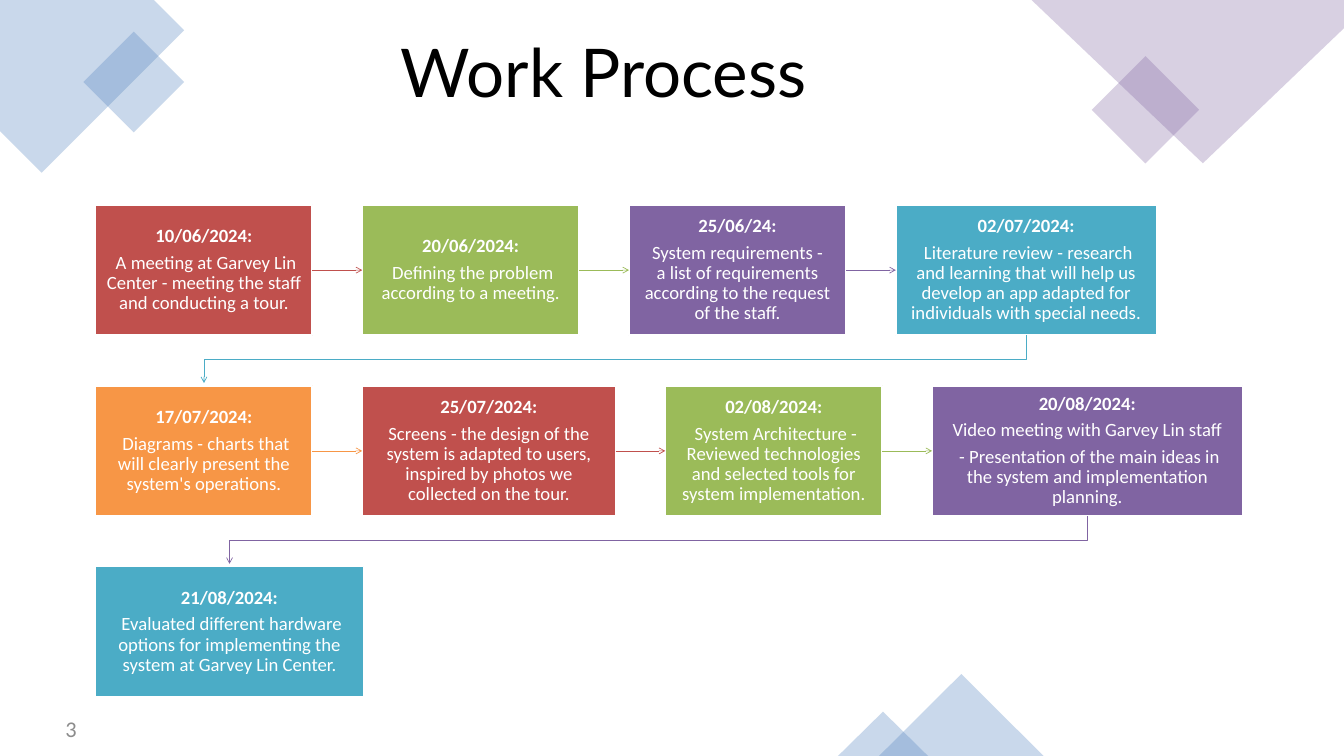
from itertools import pairwise

from lxml import etree
from pptx import Presentation
from pptx.dml.color import RGBColor
from pptx.enum.shapes import MSO_CONNECTOR, MSO_SHAPE
from pptx.enum.text import MSO_ANCHOR, PP_ALIGN
from pptx.oxml.ns import qn
from pptx.util import Inches, Pt

RECTANGLE, TRIANGLE = MSO_SHAPE.RECTANGLE, MSO_SHAPE.ISOSCELES_TRIANGLE
STRAIGHT, ELBOW = MSO_CONNECTOR.STRAIGHT, MSO_CONNECTOR.ELBOW
MIDDLE = MSO_ANCHOR.MIDDLE
CENTER, RIGHT = PP_ALIGN.CENTER, PP_ALIGN.RIGHT

BLUE = RGBColor(0x4F, 0x81, 0xBD)
RED = RGBColor(0xC0, 0x50, 0x4D)
GREEN = RGBColor(0x9B, 0xBB, 0x59)
PURPLE = RGBColor(0x80, 0x64, 0xA2)
TEAL = RGBColor(0x4B, 0xAC, 0xC6)
ORANGE = RGBColor(0xF7, 0x96, 0x46)
WHITE = RGBColor(0xFF, 0xFF, 0xFF)
BLACK = RGBColor(0, 0, 0)
GRAY = RGBColor(0x8C, 0x8C, 0x8C)

STEP_COLORS = [RED, GREEN, PURPLE, TEAL, ORANGE]
STEP_HEIGHT = 1.94
STEP_GAP = 0.74
ROW_PITCH = 2.69
ARROW_CLEARANCE = Inches(0.04)

STEP_ROWS = [
    [
        (3.23, "10/06/2024:", [" A meeting at Garvey Lin Center - meeting the staff and conducting a tour."]),
        (3.23, "20/06/2024:", [" Defining the problem according to a meeting."]),
        (3.23, "25/06/24:", ["System requirements -\va list of requirements according to the request of the staff."]),
        (3.88, "02/07/2024:", [" Literature review - research and learning that will help us develop an app "
                               "adapted for individuals with special needs."]),
    ],
    [
        (3.23, "17/07/2024:", [" Diagrams - charts that will clearly present the system's operations."]),
        (3.77, "25/07/2024:", ["Screens - the design of the system is adapted to users, inspired by photos "
                               "we collected on the tour."]),
        (3.23, "02/08/2024:", [" System Architecture - Reviewed technologies and selected tools for "
                               "system implementation."]),
        (4.62, "20/08/2024:", ["Video meeting with Garvey Lin staff",
                               " - Presentation of the main ideas in the system and implementation planning."]),
    ],
    [
        (3.99, "21/08/2024:", [" Evaluated different hardware options for implementing the system at "
                               "Garvey Lin Center."]),
    ],
]


def style_text(para, text, size, font_name, color, alignment, bold=False):
    para.text = text
    para.alignment = alignment
    para.font.size = Pt(size)
    para.font.name = font_name
    para.font.color.rgb = color
    para.font.bold = bold


def make_translucent(shape, color):
    shape.shadow.inherit = False
    shape.fill.solid()
    shape.fill.fore_color.rgb = color
    shape.line.fill.background()
    color_element = shape.fill._xPr.find(qn("a:solidFill"))[0]
    etree.SubElement(color_element, qn("a:alpha"), val="30000")


def add_corner(page, points, color):
    start, *others = [(Inches(x), Inches(y)) for x, y in points]
    outline = page.shapes.build_freeform(*start)
    outline.add_line_segments(others)
    make_translucent(outline.convert_to_shape(), color)


def add_ornament(page, kind, box, color, rotation=0):
    ornament = page.shapes.add_shape(kind, *map(Inches, box))
    ornament.rotation = rotation
    make_translucent(ornament, color)


def add_decoration(page):
    add_corner(page, [(0, 0), (2.29, 0), (2.74, 0.45), (0.62, 2.57), (0, 1.95)], BLUE)
    add_ornament(page, RECTANGLE, (1.46, 0.69, 1.06, 1.06), BLUE, 45)
    add_ornament(page, RECTANGLE, (16.48, 1.07, 1.13, 1.13), PURPLE, 45)
    add_corner(page, [(20, 0), (15.35, 0), (17.9, 2.43), (20, 0.42)], PURPLE)
    add_ornament(page, TRIANGLE, (13.08, 10.03, 2.45, 1.22), BLUE)
    add_ornament(page, TRIANGLE, (12.47, 10.59, 1.34, 0.66), BLUE)


def add_label(page, box, text, size, font_name, color, alignment):
    frame = page.shapes.add_textbox(*map(Inches, box)).text_frame
    frame.word_wrap = True
    style_text(frame.paragraphs[0], text, size, font_name, color, alignment)
    return frame


def add_step(page, box, color, date, details):
    step = page.shapes.add_shape(RECTANGLE, *map(Inches, box))
    step.shadow.inherit = False
    step.fill.solid()
    step.fill.fore_color.rgb = color
    step.line.color.rgb = WHITE
    step.line.width = Pt(2)
    frame = step.text_frame
    frame.word_wrap = True
    frame.vertical_anchor = MIDDLE
    frame.margin_left = frame.margin_right = Inches(0.16)
    frame.margin_top = frame.margin_bottom = Inches(0.17)
    for index, text in enumerate([date, *details]):
        para = frame.add_paragraph() if index else frame.paragraphs[0]
        style_text(para, text, 20, "Calibri", WHITE, CENTER, bold=index == 0)
        para.line_spacing = 0.9
        para.space_after = Pt(7)
    return step


def style_arrow(arrow, color):
    arrow.line.color.rgb = color
    arrow.line.width = Pt(0.75)
    etree.SubElement(arrow.line._get_or_add_ln(), qn("a:tailEnd"), type="arrow")
    etree.SubElement(arrow._element.spPr, qn("a:effectLst"))


def add_next_arrow(page, first, second, color):
    arrow = page.shapes.add_connector(STRAIGHT, 0, 0, 0, 0)
    arrow.begin_connect(first, 3)
    arrow.end_connect(second, 1)
    style_arrow(arrow, color)


def add_row_arrow(page, first, second, color):
    start_x = first.left + first.width // 2
    start_y = first.top + first.height
    end_x = second.left + second.width // 2
    end_y = second.top - ARROW_CLEARANCE
    middle_x, middle_y = (start_x + end_x) // 2, (start_y + end_y) // 2
    half_run, half_drop = (start_x - end_x) // 2, (end_y - start_y) // 2
    arrow = page.shapes.add_connector(
        ELBOW, middle_x - half_drop, middle_y - half_run, middle_x + half_drop, middle_y + half_run)
    arrow._element.spPr.find(qn("a:xfrm")).set("rot", "5400000")
    style_arrow(arrow, color)


def add_process(page, left, top):
    steps = []
    for row, entries in enumerate(STEP_ROWS):
        x = left
        for width, date, details in entries:
            color = STEP_COLORS[len(steps) % len(STEP_COLORS)]
            box = (x, top + row * ROW_PITCH, width, STEP_HEIGHT)
            steps.append((add_step(page, box, color, date, details), color))
            x += width + STEP_GAP
    for (first, color), (second, _) in pairwise(steps):
        add_arrow = add_next_arrow if first.top == second.top else add_row_arrow
        add_arrow(page, first, second, color)


def main():
    deck = Presentation()
    deck.slide_width, deck.slide_height = Inches(20), Inches(11.25)
    page = deck.slides.add_slide(deck.slide_layouts[6])
    add_decoration(page)
    add_process(page, 1.42, 3.05)
    title = add_label(page, (3.98, 0.84, 10.01, 0.98), "Work Process", 72, "Lato", BLACK, CENTER)
    title.paragraphs[0].line_spacing = Pt(54.6)
    number = add_label(page, (0.24, 10.64, 1, 0.4), "3", 24, "Calibri", GRAY, RIGHT)
    number.vertical_anchor = MIDDLE
    deck.save("out.pptx")


if __name__ == "__main__":
    main()
